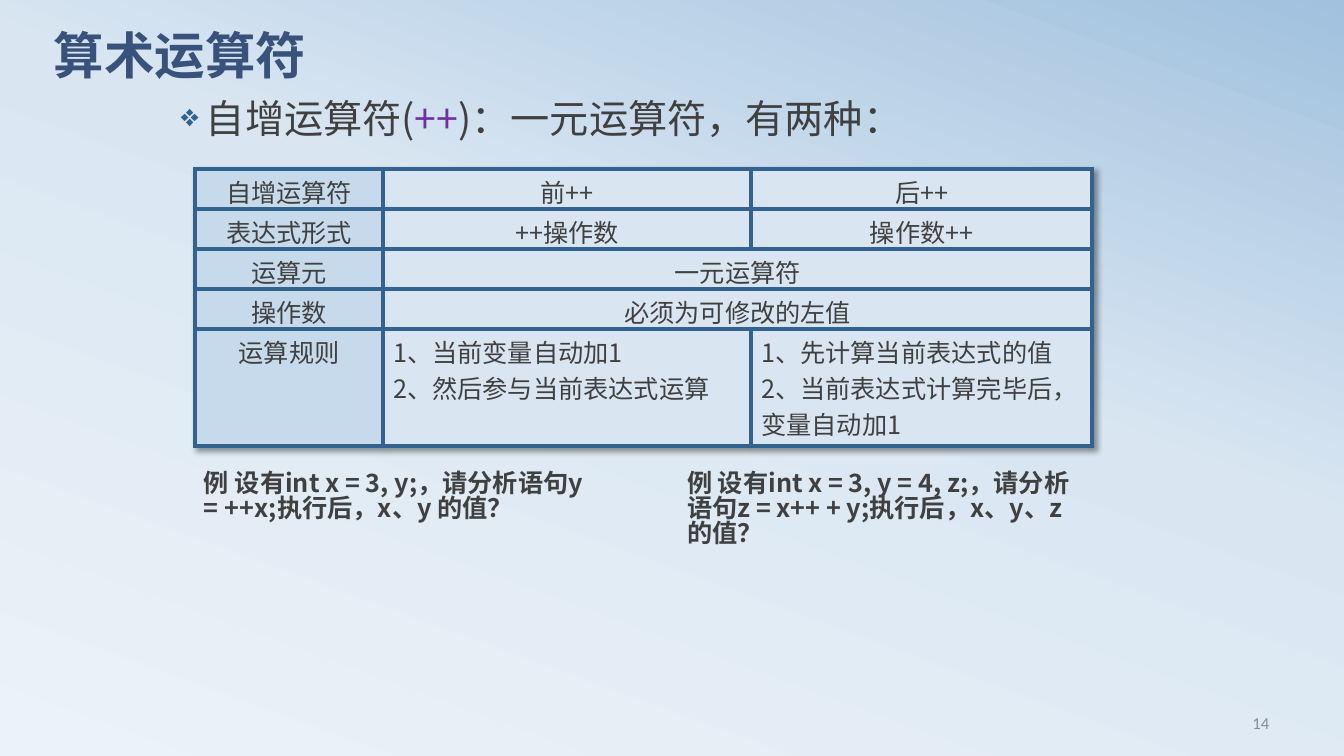
"""Build the slide on the increment operator with its comparison table."""
import copy

import pptx
import pptx.dml.color
import pptx.enum.text
import pptx.oxml
import pptx.oxml.ns
import pptx.util
from lxml import etree

PX = 9071
CJK = "Noto Sans CJK SC"
BODY, BORDER, HEAD_FILL, CELL_FILL = "404040", "32628E", "C7DAEB", "D9E6F2"
NS = pptx.oxml.ns.nsdecls("a")
qn = pptx.oxml.ns.qn
ALIGN = pptx.enum.text.PP_ALIGN
ANCHOR = pptx.enum.text.MSO_ANCHOR


def rgb(value):
    return pptx.dml.color.RGBColor.from_string(value)


def style(para, size, color=BODY, name=CJK, bold=False, align=ALIGN.LEFT, spacing=None):
    para.alignment = align
    para.line_spacing = spacing
    font = para.font
    font.size, font.bold, font.name = pptx.util.Pt(size), bold, name
    font.color.rgb = rgb(color)
    east_asian = etree.Element(qn("a:ea"), typeface=CJK)
    para._p.pPr.find(qn("a:defRPr")).find(qn("a:latin")).addnext(east_asian)


deck = pptx.Presentation()
deck.slide_width, deck.slide_height = pptx.util.Inches(13.33), pptx.util.Inches(7.5)
page = deck.slides.add_slide(deck.slide_layouts[6])

backdrop = page.background.fill
backdrop.gradient()
backdrop.gradient_angle = 70
stop_list = next(page.element.iter(qn("a:gsLst")))
stop_list.insert(1, copy.deepcopy(stop_list[0]))
gradient = [(0, "ECF3F8"), (0.58, "D9E6F2"), (1, "A1C1DE")]
for stop, (position, color) in zip(backdrop.gradient_stops, gradient):
    stop.position = position
    stop.color.rgb = rgb(color)

texts = [
    ((44, 36, 1210, 95), 0, ANCHOR.TOP, ["算术运算符"],
     dict(size=36, color="39527B", name="Calibri", bold=True, spacing=0.8)),
    ((171, 100, 907, 63), 0, ANCHOR.TOP, ["自增运算符(", "++", ")：一元运算符，有两种："],
     dict(size=28, spacing=0.9)),
    ((194, 466, 405, 72), 7, ANCHOR.TOP,
     ["例 设有int x = 3, y;，请分析语句y = ++x;执行后，x、y 的值？"],
     dict(size=18, bold=True, spacing=0.82)),
    ((677, 466, 423, 102), 7, ANCHOR.TOP,
     ["例 设有int x = 3, y = 4, z;，请分析语句z = x++ + y;执行后，x、y、z 的值？"],
     dict(size=18, bold=True, spacing=0.82)),
    ((966, 703, 313, 40), 5, ANCHOR.MIDDLE, ["14"],
     dict(size=12, color="8C8C8C", name="Calibri", align=ALIGN.RIGHT)),
]
for bounds, inset, anchor, spans, look in texts:
    box = page.shapes.add_textbox(*(n * PX for n in bounds))
    frame = box.text_frame
    frame.word_wrap = True
    frame.vertical_anchor = anchor
    frame.margin_top = inset * PX
    para = frame.paragraphs[0]
    for words in spans:
        span = para.add_run()
        span.text = words
        if words == "++":
            span.font.color.rgb = rgb("7030A0")
    if len(spans) > 1:
        props = para._p.get_or_add_pPr()
        props.set("marL", str(25 * PX))
        props.set("indent", str(-25 * PX))
        for bullet in (
            f'<a:buClr {NS}><a:srgbClr val="{BORDER}"/></a:buClr>',
            f'<a:buSzPct {NS} val="80000"/>',
            f'<a:buChar {NS} char="❖"/>',
        ):
            props.append(pptx.oxml.parse_xml(bullet))
    style(para, **look)

rows = [
    ["自增运算符", "前++", "后++"],
    ["表达式形式", "++操作数", "操作数++"],
    ["运算元", "一元运算符"],
    ["操作数", "必须为可修改的左值"],
    ["运算规则", "1、当前变量自动加1\n2、然后参与当前表达式运算",
     "1、先计算当前表达式的值\n2、当前表达式计算完毕后，变量自动加1"],
]
widths, heights = [188, 368, 341], [40, 40, 40, 40, 117]
table_frame = page.shapes.add_table(
    len(rows), len(widths), 195 * PX, 169 * PX, sum(widths) * PX, sum(heights) * PX)
table = table_frame.table
for column, width in zip(table.columns, widths):
    column.width = width * PX
for row, height in zip(table.rows, heights):
    row.height = height * PX
table._tbl.tblPr.insert(0, pptx.oxml.parse_xml(
    f'<a:effectLst {NS}><a:outerShdw blurRad="50800" dist="38100" dir="2700000" algn="tl">'
    '<a:srgbClr val="000000"><a:alpha val="40000"/></a:srgbClr></a:outerShdw></a:effectLst>'))

for r, words in enumerate(rows):
    if len(words) == 2:
        table.cell(r, 1).merge(table.cell(r, 2))
    for c in range(len(widths)):
        cell = table.cell(r, c)
        cell.margin_top, cell.margin_bottom = 4 * PX, 0
        cell.text = words[c] if c < len(words) else ""
        for para in cell.text_frame.paragraphs:
            style(para, 18, align=ALIGN.LEFT if "\n" in cell.text else ALIGN.CENTER)
        props = cell._tc.get_or_add_tcPr()
        for side in ("lnL", "lnR", "lnT", "lnB"):
            props.append(pptx.oxml.parse_xml(
                f'<a:{side} {NS} w="38100"><a:solidFill><a:srgbClr val="{BORDER}"/>'
                f'</a:solidFill></a:{side}>'))
        cell.fill.solid()
        cell.fill.fore_color.rgb = rgb(CELL_FILL if c else HEAD_FILL)

deck.save("out.pptx")
